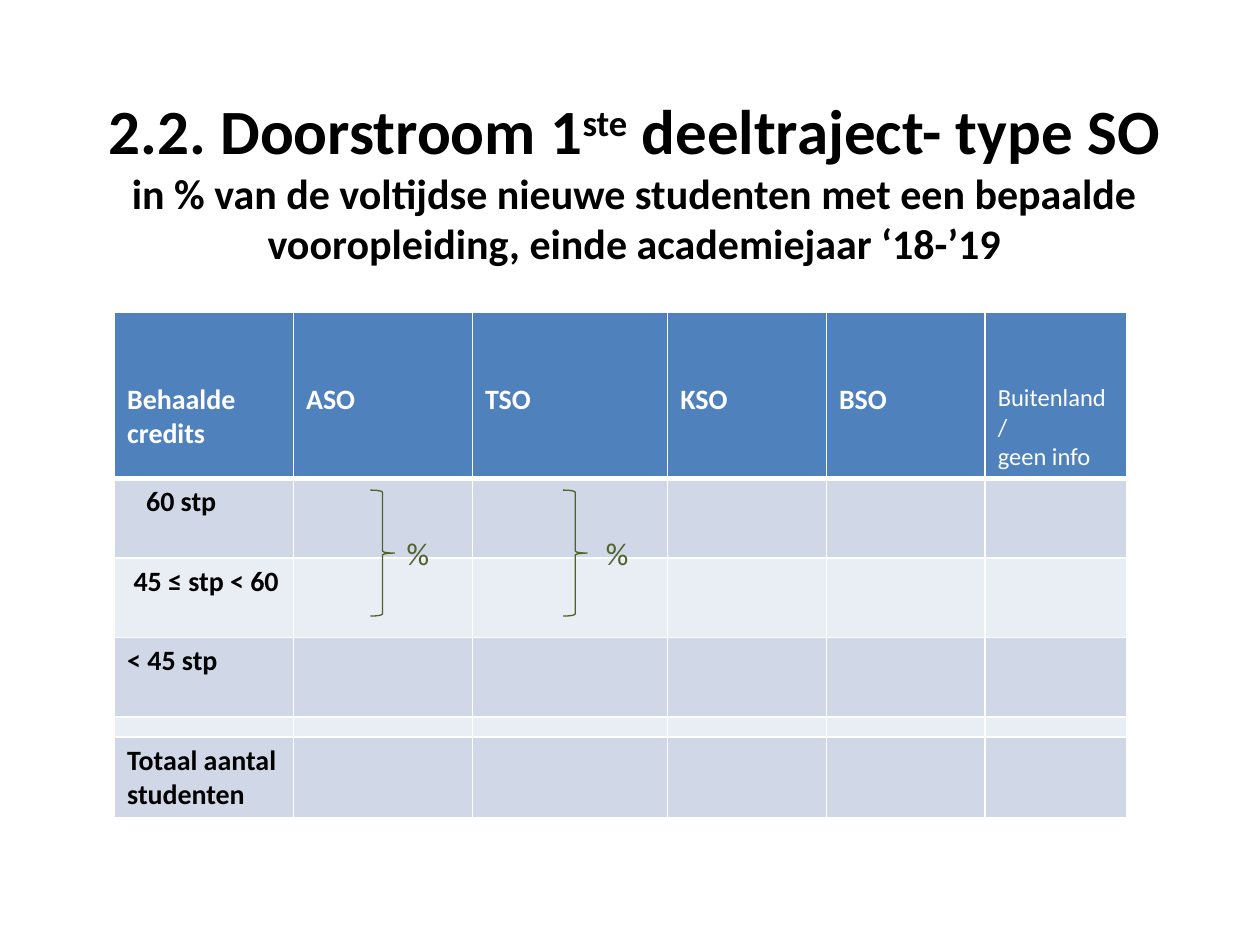
from lxml.etree import SubElement
from pptx import Presentation
from pptx.dml.color import RGBColor
from pptx.enum.shapes import MSO_SHAPE
from pptx.enum.text import MSO_ANCHOR, PP_ALIGN
from pptx.oxml.ns import qn
from pptx.util import Inches, Pt

WHITE, BLACK, GREEN, BLUE = "FFFFFF", "000000", "4F6228", "4F81BD"
BANDS = ("D0D8E8", "E9EDF4")
COLUMN_WIDTHS = (1.42, 1.42, 1.55, 1.26, 1.26, 1.12)
ROW_HEIGHTS = (1.32, 0.63, 0.63, 0.63, 0.16, 0.63)
HEADINGS = (["Behaalde credits"], ["ASO"], ["TSO"], ["KSO"], ["BSO"],
            ["Buitenland/", "geen info"])
# Row label and its extra left indent
ROW_LABELS = (("60 stp", 0.15), ("45 ≤ stp < 60", 0.05), ("< 45 stp", 0),
              ("", 0), ("Totaal aantal studenten", 0))
SPACER_ROW = 4


def color(value):
    """Turn a hex string into a colour."""
    return RGBColor.from_string(value)


def add_span(para, text, shade, **formats):
    """Add a run of Calibri text with the given font values."""
    span = para.add_run()
    span.text = text
    span.font.color.rgb = color(shade)
    for name, value in {"name": "Calibri", **formats}.items():
        setattr(span.font, name, value)
    return span


def add_title(page):
    """Fill the title placeholder with heading and subtitle."""
    title = page.shapes.title
    places = {"left": 0.43, "top": 0.68, "width": 9.21, "height": 1.51}
    for name, value in places.items():
        setattr(title, name, Inches(value))
    frame = title.text_frame
    frame.word_wrap = True
    frame.vertical_anchor = MSO_ANCHOR.TOP
    heading = frame.paragraphs[0]
    large = {"size": Pt(36), "bold": True}
    add_span(heading, "2.2. Doorstroom 1", BLACK, **large)
    raised = add_span(heading, "ste", BLACK, **large)
    raised.font._element.set("baseline", "30000")
    add_span(heading, " deeltraject- type SO", BLACK, **large)
    subtitle = frame.add_paragraph()
    add_span(subtitle, "in % van de voltijdse nieuwe studenten met een bepaalde "
             "vooropleiding, einde academiejaar ‘18-’19", BLACK,
             size=Pt(24), bold=True)
    for para in frame.paragraphs:
        para.alignment = PP_ALIGN.CENTER


def style_cell(cell, fill, bottom_width=1):
    """Give a cell white borders and a solid fill."""
    properties = cell._tc.get_or_add_tcPr()
    for side, width in zip("LRTB", (1, 1, 1, bottom_width)):
        border = SubElement(properties, qn(f"a:ln{side}"), w=str(Pt(width)))
        solid = SubElement(border, qn("a:solidFill"))
        SubElement(solid, qn("a:srgbClr"), val=WHITE)
    cell.fill.solid()
    cell.fill.fore_color.rgb = color(fill)


def write_cell(cell, lines, shade, **formats):
    """Write one paragraph for each line."""
    frame = cell.text_frame
    for index, line in enumerate(lines):
        para = frame.add_paragraph() if index else frame.paragraphs[0]
        add_span(para, line, shade, **formats)


def flatten_cell(cell):
    """Let an empty cell shrink to the height of a thin row."""
    cell.margin_top = cell.margin_bottom = 0
    SubElement(cell.text_frame.paragraphs[0]._p, qn("a:endParaRPr"), sz="800")


def add_credit_table(page):
    """Add the table of credits by type of secondary education."""
    table = page.shapes.add_table(
        len(ROW_HEIGHTS), len(COLUMN_WIDTHS), Inches(0.91), Inches(2.48),
        Inches(sum(COLUMN_WIDTHS)), Inches(sum(ROW_HEIGHTS))).table
    for column, width in zip(table.columns, COLUMN_WIDTHS):
        column.width = Inches(width)
    for row, height in zip(table.rows, ROW_HEIGHTS):
        row.height = Inches(height)
    for index, lines in enumerate(HEADINGS):
        cell = table.cell(0, index)
        style_cell(cell, BLUE, bottom_width=3)
        cell.margin_top = Inches(0.56)
        is_last = index == len(HEADINGS) - 1
        write_cell(cell, lines, WHITE, size=Pt(14 if is_last else 16),
                   bold=not is_last)
    for row, (label, indent) in enumerate(ROW_LABELS, start=1):
        for column in range(len(COLUMN_WIDTHS)):
            cell = table.cell(row, column)
            style_cell(cell, BANDS[(row - 1) % 2])
            if row == SPACER_ROW:
                flatten_cell(cell)
        if label:
            first = table.cell(row, 0)
            first.margin_left = Inches(0.1 + indent)
            first.margin_right = Inches(0.05)
            write_cell(first, [label], BLACK, size=Pt(16), bold=True)


def add_brace(page, left):
    """Add a brace that joins the two upper rows."""
    brace = page.shapes.add_shape(MSO_SHAPE.RIGHT_BRACE, Inches(left),
                                  Inches(3.89), Inches(0.19), Inches(1))
    brace.shadow.inherit = False
    brace.fill.background()
    brace.line.color.rgb = color(GREEN)
    brace.line.width = Pt(0.75)


def add_percent(page, left):
    """Add the percent sign beside a brace."""
    box = page.shapes.add_textbox(Inches(left), Inches(4.19),
                                  Inches(0.64), Inches(0.4))
    box.text_frame.word_wrap = True
    add_span(box.text_frame.paragraphs[0], "%", GREEN, size=Pt(18))


def main():
    """Build and save the slide."""
    deck = Presentation()
    deck.slide_width, deck.slide_height = Inches(10), Inches(7.5)
    page = deck.slides.add_slide(deck.slide_layouts[5])
    add_title(page)
    add_credit_table(page)
    for left in (2.94, 4.47):
        add_brace(page, left)
    for left in (3.13, 4.71):
        add_percent(page, left)
    deck.save("out.pptx")


main()
